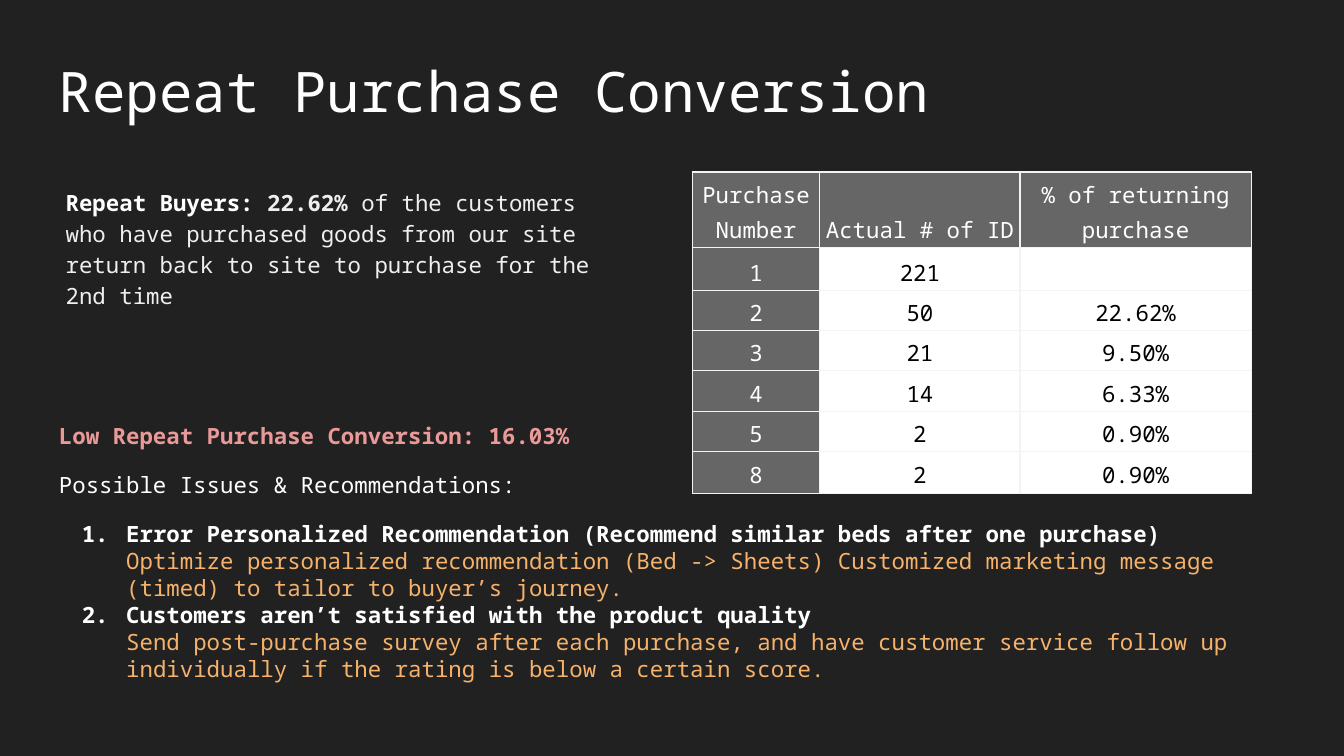
"""Build the Repeat Purchase Conversion slide."""
from lxml.etree import SubElement
from pptx import Presentation
from pptx.dml.color import RGBColor
from pptx.enum.text import MSO_ANCHOR as Anchor, PP_ALIGN as Align
from pptx.oxml.ns import qn
from pptx.util import Inches, Pt

WHITE, BLACK, GRAY, ORANGE = "FFFFFF", "000000", "666666", "F6B26B"


def rgb(code):
    return RGBColor.from_string(code)


def add_run(paragraph, text, color=WHITE, bold=False, size=12):
    run = paragraph.add_run()
    run.text = text
    run.font.name = "Noto Sans Mono"
    run.font.size = Pt(size)
    run.font.bold = bold
    run.font.color.rgb = rgb(color)


prs = Presentation()
prs.slide_width = Inches(10)
prs.slide_height = Inches(10) * 9 // 16
slide = prs.slides.add_slide(prs.slide_layouts[6])
slide.background.fill.solid()
slide.background.fill.fore_color.rgb = rgb("212121")

frames = []
for box in [(0.34, 0.32, 9.32, 0.63), (0.39, 1.28, 4.37, 1.1), (0.34, 3.04, 9.01, 2.36)]:
    frame = slide.shapes.add_textbox(*map(Inches, box)).text_frame
    frame.word_wrap = True
    frame.margin_left = frame.margin_right = Inches(0.1)
    frame.margin_top = frame.margin_bottom = Inches(0.1)
    frames.append(frame)
title, buyers, issues = frames

add_run(title.paragraphs[0], "Repeat Purchase Conversion", size=29.9)

summary = buyers.paragraphs[0]
summary.line_spacing = 1.15
summary.space_after = Pt(12)
add_run(summary, "Repeat Buyers: ", bold=True)
add_run(summary, "22.62% ", "EFEFEF", True)
add_run(summary, "of the customers who have purchased goods from our site return back "
        "to site to purchase for the 2nd time", "EFEFEF")

add_run(issues.paragraphs[0], "Low Repeat Purchase Conversion: 16.03%", "EA9999", True)
intro = issues.add_paragraph()
intro.space_before = Pt(12)
add_run(intro, "Possible Issues & Recommendations:")

recommendations = [
    ("Error Personalized Recommendation (Recommend similar beds after one purchase)",
     "Optimize personalized recommendation (Bed -> Sheets) Customized marketing message "
     "(timed) to tailor to buyer’s journey.", 12),
    ("Customers aren’t satisfied with the product quality",
     "Send post-purchase survey after each purchase, and have customer service follow up "
     "individually if the rating is below a certain score.", 0),
]
for issue, advice, gap in recommendations:
    item = issues.add_paragraph()
    item.space_before = Pt(gap)
    props = item._p.get_or_add_pPr()
    props.set("marL", str(Inches(0.5)))
    props.set("indent", str(Inches(-0.33)))
    SubElement(SubElement(props, qn("a:buClr")), qn("a:srgbClr"), val=WHITE)
    SubElement(props, qn("a:buFont"), typeface="Noto Sans Mono")
    SubElement(props, qn("a:buAutoNum"), type="arabicPeriod")
    add_run(item, issue, bold=True)
    item.add_line_break()
    add_run(item, advice, ORANGE)

purchases = [
    ("Purchase Number", "Actual # of ID", "% of returning purchase"),
    ("1", "221", ""),
    ("2", "50", "22.62%"),
    ("3", "21", "9.50%"),
    ("4", "14", "6.33%"),
    ("5", "2", "0.90%"),
    ("8", "2", "0.90%"),
]
widths = [0.95, 1.49, 1.72]
heights = [0.56, 0.32, 0.3, 0.3, 0.3, 0.3, 0.31]
table = slide.shapes.add_table(len(heights), len(widths), Inches(5.15), Inches(1.28),
                               Inches(sum(widths)), Inches(sum(heights))).table
for column, width in zip(table.columns, widths):
    column.width = Inches(width)
for row, height in zip(table.rows, heights):
    row.height = Inches(height)

for r, values in enumerate(purchases):
    for c, value in enumerate(values):
        heading = r == 0 or c == 0
        cell = table.cell(r, c)
        cell.vertical_anchor = Anchor.BOTTOM
        cell.margin_left = cell.margin_right = Inches(0.03)
        cell.margin_top = cell.margin_bottom = Inches(0.02)
        label = cell.text_frame.paragraphs[0]
        label.alignment = Align.CENTER
        label.line_spacing = 1.15
        if value:
            add_run(label, value, WHITE if heading else BLACK)
        else:
            SubElement(label._p, qn("a:endParaRPr"), sz="1200")
        borders = cell._tc.get_or_add_tcPr()
        for side in ("lnL", "lnR", "lnT", "lnB"):
            edge = SubElement(borders, qn(f"a:{side}"), w=str(Pt(0.75)))
            SubElement(SubElement(edge, qn("a:solidFill")), qn("a:srgbClr"), val="F3F3F3")
        cell.fill.solid()
        cell.fill.fore_color.rgb = rgb(GRAY if heading else WHITE)

prs.save("out.pptx")
